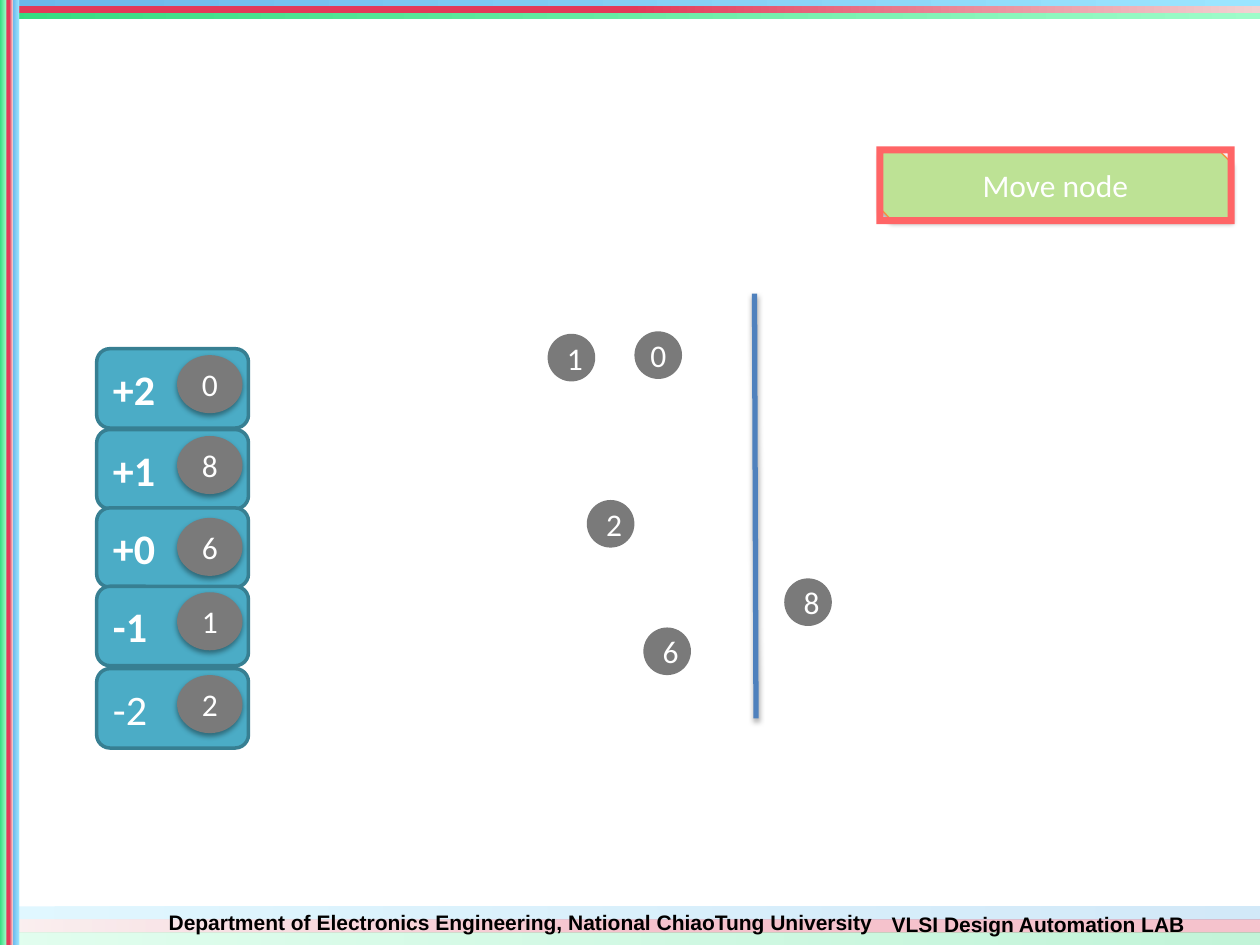
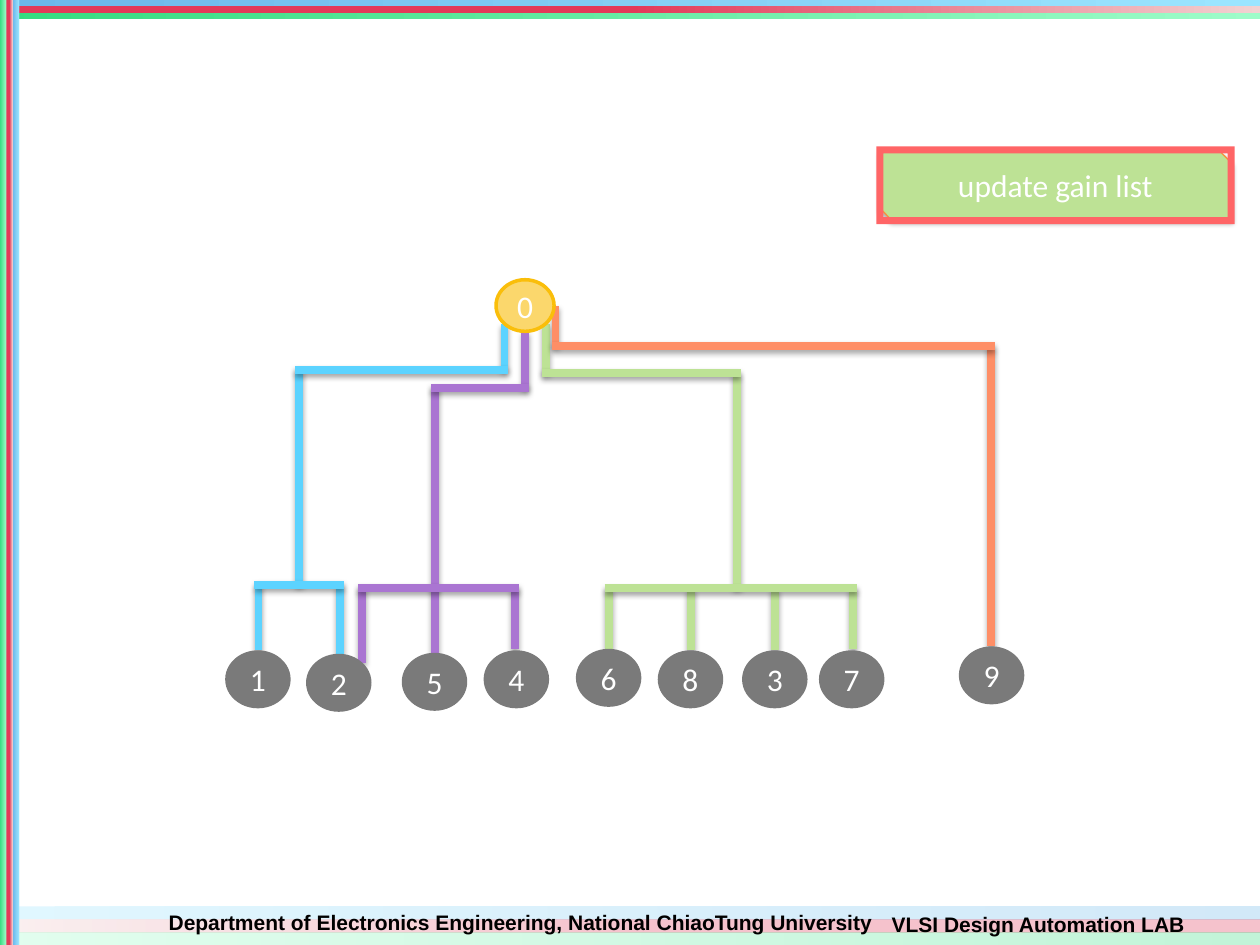
from lxml import etree
from pptx import Presentation
from pptx.dml.color import RGBColor
from pptx.enum.shapes import MSO_CONNECTOR, MSO_SHAPE
from pptx.enum.text import MSO_ANCHOR, PP_ALIGN
from pptx.oxml.ns import qn
from pptx.util import Cm, Pt

RECT, ROUND, CIRCLE = MSO_SHAPE.RECTANGLE, MSO_SHAPE.ROUNDED_RECTANGLE, MSO_SHAPE.FLOWCHART_CONNECTOR
SNIP, FRAME = MSO_SHAPE.SNIP_2_DIAG_RECTANGLE, MSO_SHAPE.FRAME
STRAIGHT = MSO_CONNECTOR.STRAIGHT
LEFT, CENTER, MIDDLE = PP_ALIGN.LEFT, PP_ALIGN.CENTER, MSO_ANCHOR.MIDDLE

# Content (all lengths in cm)
WIDTH, HEIGHT = 25.4, 19.05
COLORS = {
    "white": "FFFFFF", "black": "000000", "node": "7A7A7A",
    "bucket": "4BACC6", "bucket_edge": "377F92", "cut": "4F81BD",
    "root": "FBD76C", "root_edge": "FABE0A",
    "step": "BDE295", "step_edge": "F69240", "frame": "FF6566",
    "blue": "5CD3FF", "purple": "AA75D2", "green": "BDE295", "orange": "FE8E66",
}
# Band gradients: start colour, end colour, position of the start colour
BANDS = {
    "blue": ("6CB7EA", "9BE5FF", 0),
    "red": ("E33959", "F2D2D2", 0.5),
    "green": ("35DB80", "9EFCC9", 0),
}
# Footer: text, centre x, centre y, width
FOOTERS = [
    ("Department of Electronics Engineering, National ChiaoTung University", 10.5, 18.58, 14.4),
    ("VLSI Design Automation LAB", 20.93, 18.62, 6.2),
]
# Gain list: gain, bucket top, bold, node, node top
GAINS = [
    ("+2", 7.03, True, "0", 7.16),
    ("+1", 8.66, True, "8", 8.79),
    ("+0", 10.24, True, "6", 10.44),
    ("-1", 11.82, True, "1", 11.94),
    ("-2", 13.48, False, "2", 13.61),
]
# Partition: node, left, top, side inset, top inset
PARTITION = [
    ("1", 11.04, 6.73, 0.25, 0.13),
    ("8", 15.81, 11.66, 0.25, 0.13),
    ("6", 12.97, 12.65, 0.25, 0.13),
    ("2", 11.83, 10.08, 0.25, 0.13),
    ("0", 12.79, 6.68, 0.18, 0.1),
]
CUT = (15.21, 5.92, 15.24, 14.48)
# Nets: start x and y, bend y, trunk x, trunk end y, drops to nodes (x, end y)
NETS = {
    "blue": (10.17, 6.53, 7.46, 6.03, 11.79, [(5.21, 13.11), (6.85, 13.18)]),
    "purple": (10.59, 6.68, 7.82, 8.77, 11.85,
               [(7.3, 13.36), (8.77, 13.16), (10.38, 13.08)]),
    "green": (11, 6.53, 7.52, 14.85, 11.86,
              [(12.27, 13.08), (13.93, 13.11), (15.62, 13.11), (17.2, 13.08)]),
    "orange": (11.2, 6.17, 6.97, 19.97, 13.03, []),
}
# Leaves of the tree: node, centre x, top
LEAVES = [
    ("1", 5.2, 13.11), ("2", 6.83, 13.18), ("5", 8.76, 13.16),
    ("4", 10.41, 13.11), ("6", 12.27, 13.08), ("8", 13.92, 13.11),
    ("3", 15.62, 13.11), ("7", 17.17, 13.11), ("9", 19.99, 13.03),
]
NODE_W, NODE_H, SMALL_NODE = 1.32, 1.17, 0.96
NET_PT, NET_OVERHANG = 4.5, 0.08


def rgb(name):
    return RGBColor.from_string(COLORS[name])


def add_shadow(sp, alpha, dist):
    effects = sp.element.spPr.find(qn("a:effectLst"))
    shadow = etree.SubElement(effects, qn("a:outerShdw"), blurRad=str(Pt(3.1)),
                              dist=str(Pt(dist)), dir="5400000", rotWithShape="0")
    color = etree.SubElement(shadow, qn("a:srgbClr"), val=COLORS["black"])
    etree.SubElement(color, qn("a:alpha"), val=str(alpha * 1000))


def set_text(sp, text, size=18, color="white", font="Calibri", bold=False,
             align=CENTER, inset=(0.25, 0.13), wrap=True):
    tf = sp.text_frame
    tf.word_wrap = wrap
    tf.vertical_anchor = MIDDLE
    tf.margin_left = tf.margin_right = Cm(inset[0])
    tf.margin_top = tf.margin_bottom = Cm(inset[1])
    p = tf.paragraphs[0]
    p.alignment = align
    r = p.add_run()
    r.text = text
    r.font.name, r.font.size, r.font.bold = font, Pt(size), bold
    r.font.color.rgb = rgb(color)


def add_shape(slide, kind, x, y, w, h, fill=None, edge=None, edge_pt=2):
    sp = slide.shapes.add_shape(kind, Cm(x), Cm(y), Cm(w), Cm(h))
    sp.shadow.inherit = False
    if fill:
        sp.fill.solid()
        sp.fill.fore_color.rgb = rgb(fill)
    if edge:
        sp.line.color.rgb = rgb(edge)
        sp.line.width = Pt(edge_pt)
    else:
        sp.line.fill.background()
    return sp


def add_line(slide, x1, y1, x2, y2, color, width):
    line = slide.shapes.add_connector(STRAIGHT, Cm(x1), Cm(y1), Cm(x2), Cm(y2))
    line.line.color.rgb = rgb(color)
    line.line.width = Pt(width)
    etree.SubElement(line.element.spPr, qn("a:effectLst"))
    add_shadow(line, 35, 1.8)


def add_node(slide, text, x, y, w=NODE_W, h=NODE_H, fill="node", edge=None,
             inset=(0.25, 0.13)):
    sp = add_shape(slide, CIRCLE, x, y, w, h, fill, edge)
    set_text(sp, text, inset=inset)
    return sp


def add_band(slide, name, x, y, w, h, faded=False):
    """A gradient band; a faded one is transparent and runs right to left."""
    start, end, solid = BANDS[name]
    stops = [(solid, start), (1, end)]
    if faded:
        stops = [(0, end), (1 - solid, start)]
    sp = add_shape(slide, RECT, x, y, w, h)
    sp.fill.gradient()
    sp.fill.gradient_angle = 0
    for stop, (position, color) in zip(sp.fill.gradient_stops, stops):
        stop.position = position
        stop.color.rgb = RGBColor.from_string(color)
    if faded:
        for color in sp.element.spPr.iter(qn("a:srgbClr")):
            etree.SubElement(color, qn("a:alpha"), val="30000")


def add_slide(prs, step):
    """A slide with the shared bands and footers, and its step banner."""
    slide = prs.slides.add_slide(prs.slide_layouts[6])
    for i, name in enumerate(BANDS):
        add_band(slide, name, 0, 18.27 + 0.26 * i, WIDTH, 0.26, faded=True)
    for text, cx, cy, w in FOOTERS:
        sp = slide.shapes.add_textbox(Cm(cx - w / 2), Cm(cy - 0.25), Cm(w), Cm(0.5))
        set_text(sp, text, size=12, color="black", font="Arial", bold=True,
                 inset=(0, 0), wrap=False)
    for i, name in enumerate(BANDS):
        add_band(slide, name, 0, 0.13 * i, WIDTH, 0.13)
    for i, name in enumerate(reversed(BANDS)):
        add_band(slide, name, 0.13 * i, 0, 0.13, HEIGHT)

    sp = add_shape(slide, SNIP, 17.73, 3.05, 7.09, 1.37, "step", "step_edge", 0.75)
    add_shadow(sp, 35, 1.8)
    set_text(sp, step, inset=(0.18, 0.1))
    sp = add_shape(slide, FRAME, 17.67, 2.95, 7.22, 1.57, "frame")
    sp.adjustments[0] = 0.09
    return slide


def draw_move(prs):
    slide = add_slide(prs, "Move node")
    # Gain list
    for gain, top, bold, _, _ in GAINS:
        sp = add_shape(slide, ROUND, 1.95, top, 3.06, 1.6, "bucket", "bucket_edge")
        set_text(sp, gain, size=24, bold=bold, align=LEFT)
    for _, _, _, node, top in GAINS:
        add_shadow(add_node(slide, node, 3.57, top), 38, 1.6)
    # Partition
    add_line(slide, *CUT, "cut", 3)
    for node, x, y, *inset in PARTITION:
        add_node(slide, node, x, y, SMALL_NODE, SMALL_NODE, inset=inset)


def draw_update(prs):
    slide = add_slide(prs, "update gain list")
    # Nets
    for color, (x, y, bend, trunk, end, drops) in NETS.items():
        segments = [(x, y, x, bend), (trunk, bend, trunk, end)]
        spans = [(x, trunk, bend)]
        if drops:
            spans.append((drops[0][0], drops[-1][0], end))
        segments += [(drop, end, drop, bottom) for drop, bottom in drops]
        segments += [(min(a, b) - NET_OVERHANG, level, max(a, b) + NET_OVERHANG, level)
                     for a, b, level in spans]
        for segment in segments:
            add_line(slide, *segment, color, NET_PT)
    # Nodes
    add_node(slide, "0", 10, 5.64, 1.17, 1.04, "root", "root_edge")
    for node, cx, top in LEAVES:
        add_node(slide, node, cx - NODE_W / 2, top)


def main():
    prs = Presentation()
    prs.slide_width, prs.slide_height = Cm(WIDTH), Cm(HEIGHT)
    draw_move(prs)
    draw_update(prs)
    prs.save("out.pptx")


if __name__ == "__main__":
    main()
